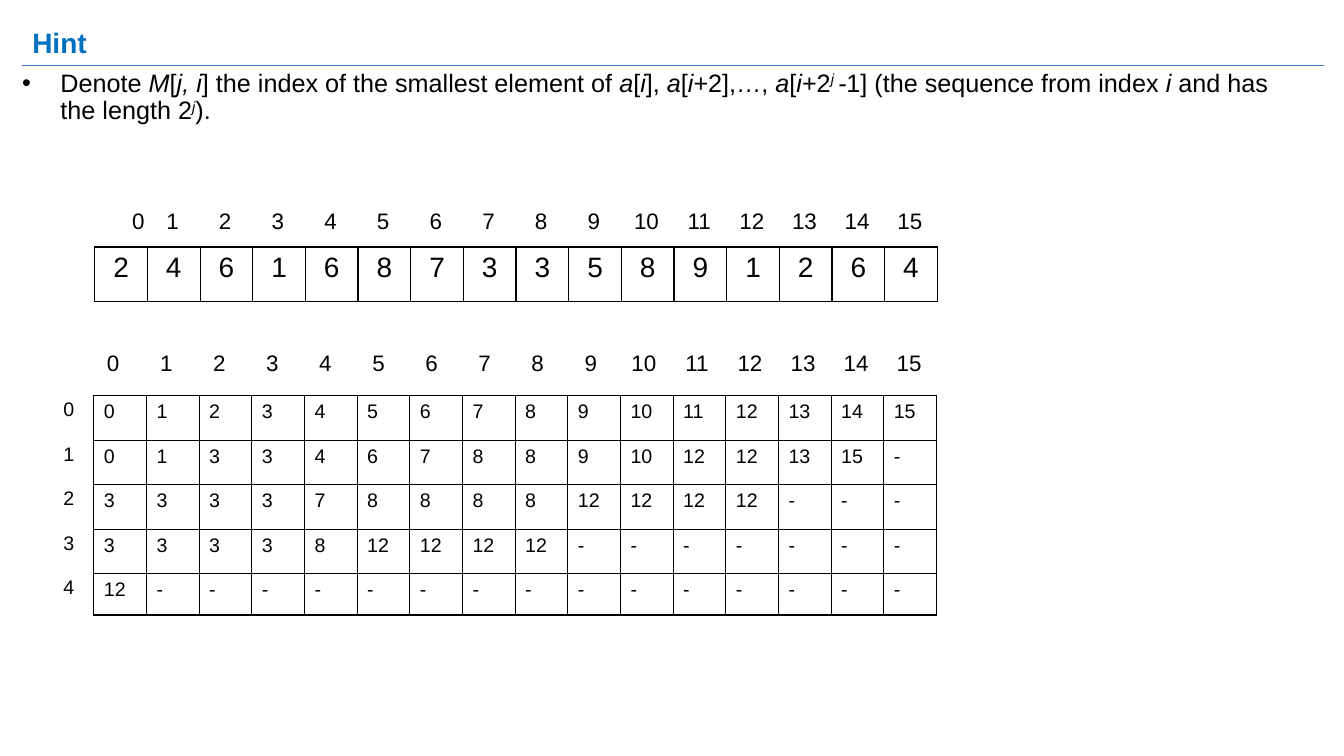
from dataclasses import dataclass
from typing import NamedTuple

from lxml.etree import SubElement as Sub
from pptx import Presentation
from pptx.dml.color import RGBColor
from pptx.enum.shapes import MSO_CONNECTOR as Line
from pptx.enum.text import MSO_ANCHOR as Anchor, MSO_AUTO_SIZE as Auto, PP_ALIGN as Align
from pptx.oxml.ns import qn
from pptx.util import Emu, Inches, Pt

WIDE, HIGH = Inches(13.333), Inches(7.5)
FONT, INK, BLUE, RULE = "Arial", "000000", "0070C0", "4472C4"
BARE = "{2D5ABB26-0587-4C30-8999-92F81FD0307C}"

NUMS = [2, 4, 6, 1, 6, 8, 7, 3, 3, 5, 8, 9, 1, 2, 6, 4]
SIZE = len(NUMS)
LEVELS = SIZE.bit_length()
COL, WIDER = 3.92, 3.95  # column widths, percent of the slide's width


class Box(NamedTuple):
    """Left, top, width and height in percent of the slide."""
    left: float
    top: float
    wide: float
    high: float


class Run(NamedTuple):
    text: str
    slant: bool = False
    sup: bool = False


@dataclass
class Grid:
    left: float
    top: float
    cols: list[float]
    rows: list[float]
    cells: list[list[str]]
    size: int
    align: Align = Align.CENTER
    edged: bool = False


def across(part: float) -> Emu:
    return Emu(round(WIDE * part / 100))


def down(part: float) -> Emu:
    return Emu(round(HIGH * part / 100))


def paint(code: str) -> RGBColor:
    return RGBColor.from_string(code)


def place(shape, box: Box) -> None:
    shape.left, shape.top = across(box.left), down(box.top)
    shape.width, shape.height = across(box.wide), down(box.high)


def write(para, run: Run, size: int, tint: str = INK, bold: bool = False) -> None:
    part = para.add_run()
    part.text = run.text
    font = part.font
    font.name, font.size, font.bold, font.italic = FONT, Pt(size), bold, run.slant
    font.color.rgb = paint(tint)
    if run.sup:
        part._r.get_or_add_rPr().set("baseline", "30000")


def edge(cell) -> None:
    """Draw a thin black border on all four sides of a cell."""
    props = cell._tc.get_or_add_tcPr()
    for spot, side in enumerate(("a:lnL", "a:lnR", "a:lnT", "a:lnB")):
        line = Sub(props, qn(side), w=str(Pt(1)))
        Sub(Sub(line, qn("a:solidFill")), qn("a:srgbClr"), val=INK)
        props.insert(spot, line)


def draw(slide, grid: Grid) -> None:
    frame = slide.shapes.add_table(
        len(grid.rows), len(grid.cols), across(grid.left), down(grid.top),
        across(sum(grid.cols)), down(sum(grid.rows)))
    table = frame.table
    table.first_row = table.horz_banding = False
    table._tbl.tblPr.find(qn("a:tableStyleId")).text = BARE
    for col, wide in zip(table.columns, grid.cols):
        col.width = across(wide)
    for row, high, words in zip(table.rows, grid.rows, grid.cells):
        row.height = down(high)
        for cell, word in zip(row.cells, words):
            cell.fill.background()
            para = cell.text_frame.paragraphs[0]
            para.alignment = grid.align
            write(para, Run(word), grid.size)
            if grid.edged:
                edge(cell)


def least(level: int, start: int) -> str:
    """Index of the smallest number among 2^level from start; the last one wins a tie."""
    stop = start + 2 ** level
    if stop > SIZE:
        return "-"
    return str(min(range(start, stop), key=lambda spot: (NUMS[spot], -spot)))


def head(slide) -> None:
    title = slide.shapes.title
    place(title, Box(1.65, 2, 96.9, 7.87))
    frame = title.text_frame
    frame.auto_size, frame.vertical_anchor = Auto.NONE, Anchor.MIDDLE
    para = frame.paragraphs[0]
    para.alignment, para.line_spacing = Align.LEFT, 0.9
    write(para, Run("Hint"), 20, BLUE, True)

    line = slide.shapes.add_connector(
        Line.STRAIGHT, across(1.65), down(8.67), across(98.55), down(8.67))
    line.line.color.rgb, line.line.width = paint(RULE), Pt(0.75)
    Sub(line._element.spPr, qn("a:effectLst"))


def body(slide, runs: list[Run]) -> None:
    hold = slide.placeholders[1]
    place(hold, Box(0, 8.67, 97.73, 72.93))
    frame = hold.text_frame
    frame.auto_size = Auto.NONE
    para = frame.paragraphs[0]
    para.line_spacing, para.space_before = 0.9, Pt(10)
    props = para._p.get_or_add_pPr()
    props.set("marL", str(Inches(0.5)))
    props.set("indent", str(Inches(-0.38)))
    Sub(Sub(props, qn("a:buClr")), qn("a:srgbClr"), val=INK)
    Sub(props, qn("a:buFont"), typeface=FONT)
    Sub(props, qn("a:buChar"), char="•")
    for run in runs:
        write(para, run, 18)


HINT = [
    Run("Denote "), Run("M", True), Run("["), Run("j, i", True),
    Run("] the index of the smallest element of "),
    Run("a", True), Run("["), Run("i", True), Run("], "),
    Run("a", True), Run("["), Run("i", True), Run("+2],…, "),
    Run("a", True), Run("["), Run("i", True), Run("+2"),
    Run("j ", True, True), Run("-", True),
    Run("1] (the sequence from index "), Run("i", True),
    Run(" and has the length 2"), Run("j", True, True), Run(")."),
]


def main() -> None:
    deck = Presentation()
    deck.slide_width, deck.slide_height = WIDE, HIGH
    slide = deck.slides.add_slide(deck.slide_layouts[1])
    head(slide)
    body(slide, HINT)

    marks = [[str(spot) for spot in range(SIZE)]]
    steps = [[str(level)] for level in range(LEVELS)]
    best = [[least(level, spot) for spot in range(SIZE)] for level in range(LEVELS)]
    even = [COL] * SIZE
    grids = [
        Grid(7.05, 32.67, even, [7.2], [[str(num) for num in NUMS]], 20, edged=True),
        Grid(9.08, 27.07, [1.73] + even[1:], [6.27], marks, 16),
        Grid(6.98, 52.27, even, [6, 5.87, 5.87, 5.87, 5.47], best, 14, Align.LEFT, True),
        Grid(6.45, 45.87, [WIDER] * SIZE, [6.27], marks, 16),
        Grid(3.15, 52.13, [WIDER], [5.87] * LEVELS, steps, 14),
    ]
    for grid in grids:
        draw(slide, grid)
    deck.save("out.pptx")


if __name__ == "__main__":
    main()
